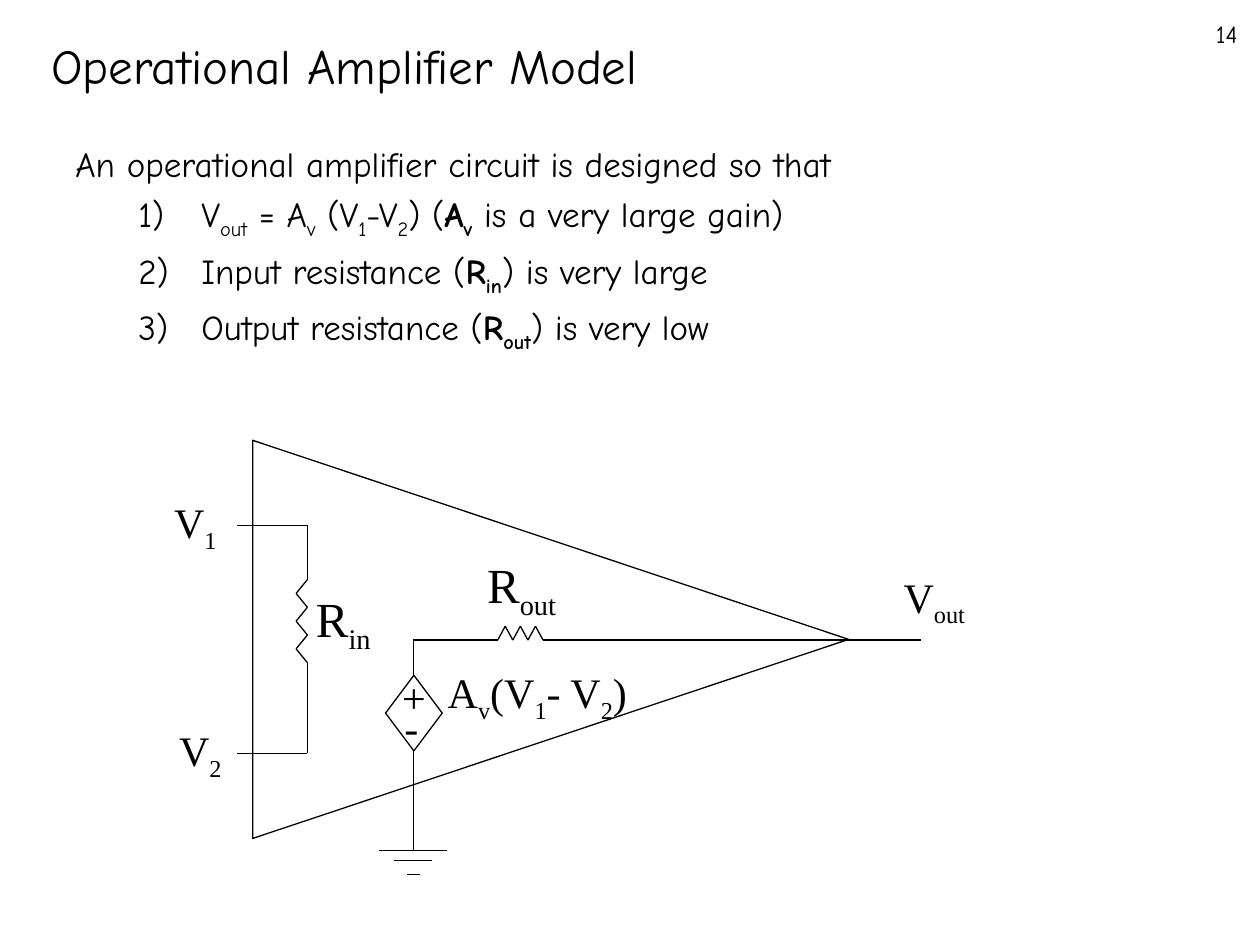
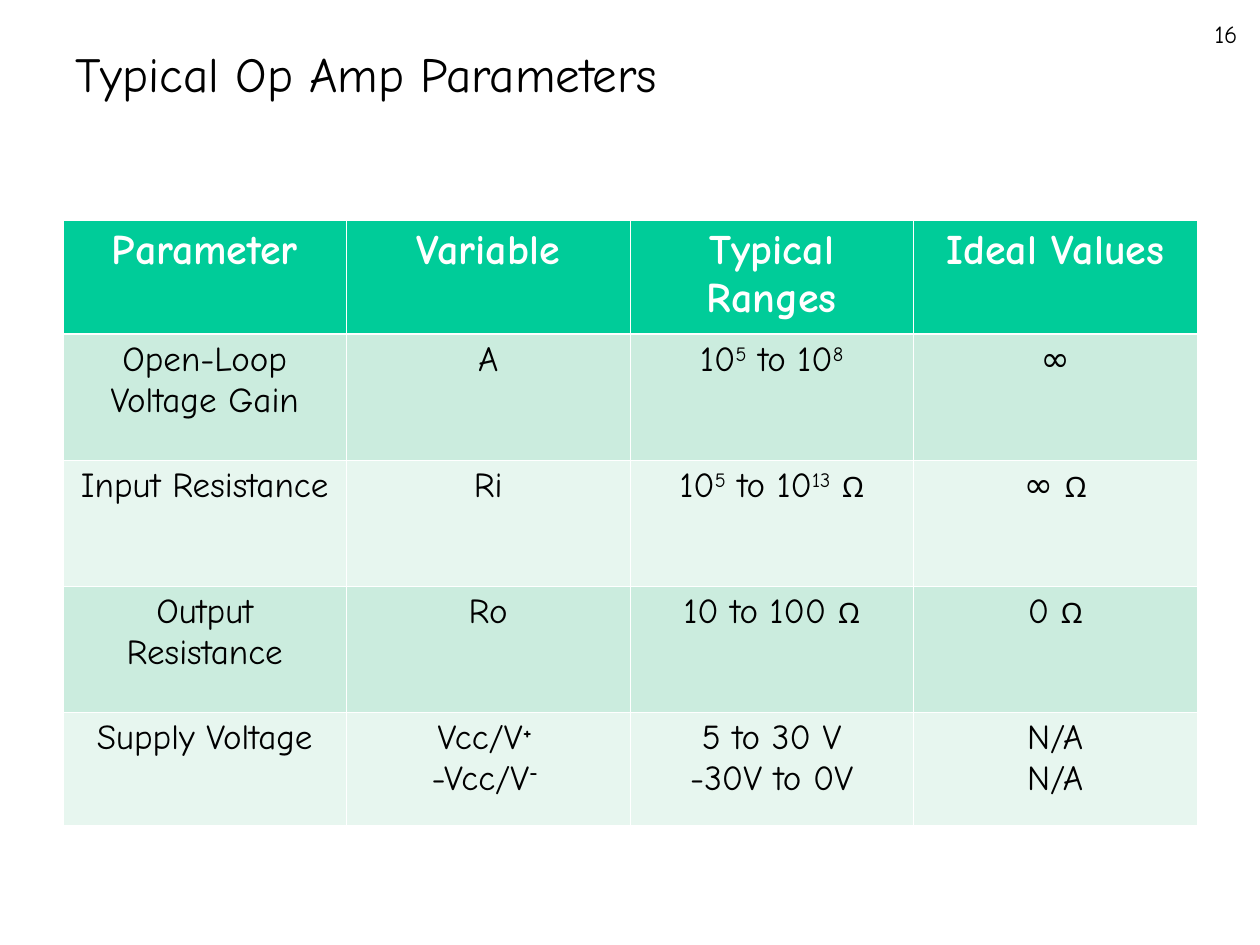
from itertools import pairwise

from lxml import etree
from pptx import Presentation
from pptx import util as u
from pptx.dml.color import RGBColor
from pptx.enum import shapes, text
from pptx.oxml import ns

COLORS = {"ink": "000000", "white": "FFFFFF", "head": "00CC99",
          "band_dark": "CBECDE", "band_light": "E7F6EF"}
BODY, MATH = "Comic Neue", "Times New Roman"
ALIGN = {"l": text.PP_ALIGN.LEFT, "c": text.PP_ALIGN.CENTER, "r": text.PP_ALIGN.RIGHT}


# Run formats: a run is a plain string or a (text, format) pair
def sub(t, **fmt):
    return t, dict(base=-25, **fmt)


def sup(t, **fmt):
    return t, dict(base=30, **fmt)


def bold(t):
    return t, dict(bold=True)


OHM = ("Ω", dict(size=16))

# Content: model slide
MODEL_TITLE = "Operational Amplifier Model"
INTRO = "An operational amplifier circuit is designed so that"
PROPERTIES = [
    ["V", sub("out"), " = A", sub("v"), " (V", sub("1"), "-V", sub("2"), ") (",
     bold("A"), sub("v", bold=True), " is a very large gain)"],
    ["Input resistance (", bold("R"), sub("in", bold=True), ") is very large"],
    ["Output resistance (", bold("R"), sub("out", bold=True), ") is very low"],
]
# Circuit labels: box, size, runs
LABELS = [
    ((1.28, 3.89, 0.54, 0.56), 24, ["V", sub("1")]),
    ((1.25, 5.7, 0.68, 0.56), 24, ["V", sub("2")]),
    ((7.07, 4.48, 0.69, 0.56), 24, ["V", sub("out")]),
    ((2.41, 4.62, 0.63, 0.63), 28, ["R", sub("in")]),
    ((3.77, 4.35, 0.74, 0.63), 28, ["R", sub("out")]),
    ((3.09, 5.28, 0.39, 0.5), 24, ["+"]),
    ((3.11, 5.52, 0.31, 0.5), 24, ["-"]),
    ((3.45, 5.24, 1.63, 0.56), 24,
     ["A", sub("v"), "(V", sub("1"), "- V", sub("2"), ")"]),
]

# Content: parameters slide; a cell is a list of paragraphs
PARAMS_TITLE = "Typical Op Amp Parameters"
HEADER = ["Parameter", "Variable", "Typical Ranges", "Ideal Values"]
PARAMS = [
    [["Open-Loop Voltage Gain"], ["A"],
     [["10", sup("5"), " to 10", sup("8")]], ["∞"]],
    [["Input Resistance"], ["Ri"],
     [["10", sup("5"), " to 10", sup("13"), " ", OHM]], [["∞ ", OHM]]],
    [["Output Resistance"], ["Ro"], [["10 to 100 ", OHM]], [["0 ", OHM]]],
    [["Supply Voltage"],
     [["Vcc/V", sup("+ ", bold=True)], ["-Vcc/V", sup("- ", bold=True)]],
     ["5 to 30 V", "-30V to 0V"], ["N/A", "N/A"]],
]
ROW_HEIGHTS = [0.9, 1, 1, 1, 0.9]
COL_WIDTH = 2.25


def rgb(name):
    return RGBColor.from_string(COLORS[name])


def inches(values):
    return [u.Inches(v) for v in values]


# Text
def write(p, runs, size=20, font=BODY, color="ink", bold=False, align="l"):
    p.alignment = ALIGN[align]
    for run in [runs] if isinstance(runs, str) else runs:
        t, fmt = (run, {}) if isinstance(run, str) else run
        r = p.add_run()
        r.text = t
        r.font.name = font
        r.font.size = u.Pt(fmt.get("size", size))
        r.font.bold = fmt.get("bold", bold)
        r.font.color.rgb = rgb(color)
        if "base" in fmt:
            r.font._element.set("baseline", str(fmt["base"] * 1000))


def add_text(s, box, runs, label=False, **fmt):
    tf = s.shapes.add_textbox(*inches(box)).text_frame
    tf.word_wrap = not label
    if label:
        # No side margins, so a label always fits on one line
        tf.margin_left = tf.margin_right = 0
        tf.vertical_anchor = text.MSO_ANCHOR.MIDDLE
    write(tf.paragraphs[0], runs, **fmt)
    return tf


def number(p):
    pPr = p._p.get_or_add_pPr()
    pPr.set("marL", str(u.Inches(1)))
    pPr.set("indent", str(u.Inches(-0.5)))
    p.space_before = u.Pt(5)
    font = etree.SubElement(pPr, ns.qn("a:buFont"))
    font.set("typeface", BODY)
    etree.SubElement(pPr, ns.qn("a:buAutoNum")).set("type", "arabicParenR")


# Circuit drawing
def add_wire(s, *points):
    for start, end in pairwise(points):
        c = s.shapes.add_connector(shapes.MSO_CONNECTOR.STRAIGHT, *inches(start + end))
        c.line.color.rgb = rgb("ink")
        c.line.width = u.Pt(0.75)
        etree.SubElement(c._element.spPr, ns.qn("a:effectLst"))


def add_outline(s, kind, box, rotation=0):
    sp = s.shapes.add_shape(kind, *inches(box))
    sp.rotation = rotation
    sp.shadow.inherit = False
    sp.fill.background()
    sp.line.color.rgb = rgb("ink")
    sp.line.width = u.Pt(0.75)


def zigzag(x, y, step, peak, teeth=3):
    """Points of a resistor: step is half a tooth, peak its sideways offset."""
    return [(x + i * step[0] + i % 2 * peak[0], y + i * step[1] + i % 2 * peak[1])
            for i in range(2 * teeth + 1)]


# Table
def set_borders(cell, top, bottom):
    tcPr = cell._tc.get_or_add_tcPr()
    for side, width in zip("LRTB", (0.45, 0.45, top, bottom)):
        ln = etree.SubElement(tcPr, ns.qn(f"a:ln{side}"), w=str(u.Pt(width)))
        fill = etree.SubElement(ln, ns.qn("a:solidFill"))
        etree.SubElement(fill, ns.qn("a:srgbClr"), val=COLORS["white"])


def fill_cell(cell, paragraphs, row, **fmt):
    set_borders(cell, 1.47 if row == 1 else 0.45, 1.47 if row == 0 else 0.45)
    cell.fill.solid()
    band = "band_dark" if row % 2 else "band_light"
    cell.fill.fore_color.rgb = rgb("head" if row == 0 else band)
    tf = cell.text_frame
    for i, runs in enumerate(paragraphs):
        write(tf.add_paragraph() if i else tf.paragraphs[0], runs, align="c", **fmt)


# Slides
def new_slide(prs, page, title, title_box):
    s = prs.slides.add_slide(prs.slide_layouts[6])
    add_text(s, (9, 0.1, 0.92, 0.34), page, size=14, align="r")
    add_text(s, title_box, title, size=28)
    return s


def build_model(prs):
    s = new_slide(prs, "14", MODEL_TITLE, (0.31, 0.23, 5.86, 0.63))
    tf = add_text(s, (0.5, 1.08, 9, 2.27), INTRO)
    for runs in PROPERTIES:
        p = tf.add_paragraph()
        number(p)
        write(p, runs)

    for box, size, runs in LABELS:
        add_text(s, box, runs, label=True, size=size, font=MATH, align="c")

    # Amplifier body and controlled source
    add_outline(s, shapes.MSO_SHAPE.ISOSCELES_TRIANGLE, (2.79, 2.71, 3.16, 4.73), 90)
    add_outline(s, shapes.MSO_SHAPE.FLOWCHART_DECISION, (3.06, 5.36, 0.45, 0.6))

    # Input side: V1, resistor, V2
    r_in = zigzag(2.44, 4.6, (0, 0.11), (-0.09, 0))
    add_wire(s, (1.88, 4.17), (2.44, 4.17), *r_in, (2.44, 5.98), (1.88, 5.98))

    # Output side: source, resistor, Vout
    r_out = zigzag(3.95, 5.08, (0.06, 0), (0, -0.11))
    add_wire(s, (3.28, 5.36), (3.28, 5.08), *r_out, (7.31, 5.08))

    # Ground
    add_wire(s, (3.28, 5.96), (3.28, 6.75))
    for y, half in ((6.75, 0.27), (6.83, 0.15), (6.94, 0.05)):
        add_wire(s, (3.28 - half, y), (3.28 + half, y))


def build_parameters(prs):
    s = new_slide(prs, "16", PARAMS_TITLE, (0.5, 0.3, 8.58, 0.53))
    rows, cols = len(ROW_HEIGHTS), len(HEADER)
    box = inches((0.5, 1.75, cols * COL_WIDTH, sum(ROW_HEIGHTS)))
    table = s.shapes.add_table(rows, cols, *box).table
    for col in table.columns:
        col.width = u.Inches(COL_WIDTH)
    for row, height in zip(table.rows, ROW_HEIGHTS):
        row.height = u.Inches(height)
    for c, name in enumerate(HEADER):
        fill_cell(table.cell(0, c), [name], 0, size=24, color="white", bold=True)
    for r, values in enumerate(PARAMS, 1):
        for c, paragraphs in enumerate(values):
            fill_cell(table.cell(r, c), paragraphs, r)


def main():
    prs = Presentation()
    prs.slide_width, prs.slide_height = inches((10, 7.5))
    build_model(prs)
    build_parameters(prs)
    prs.save("out.pptx")


if __name__ == "__main__":
    main()
